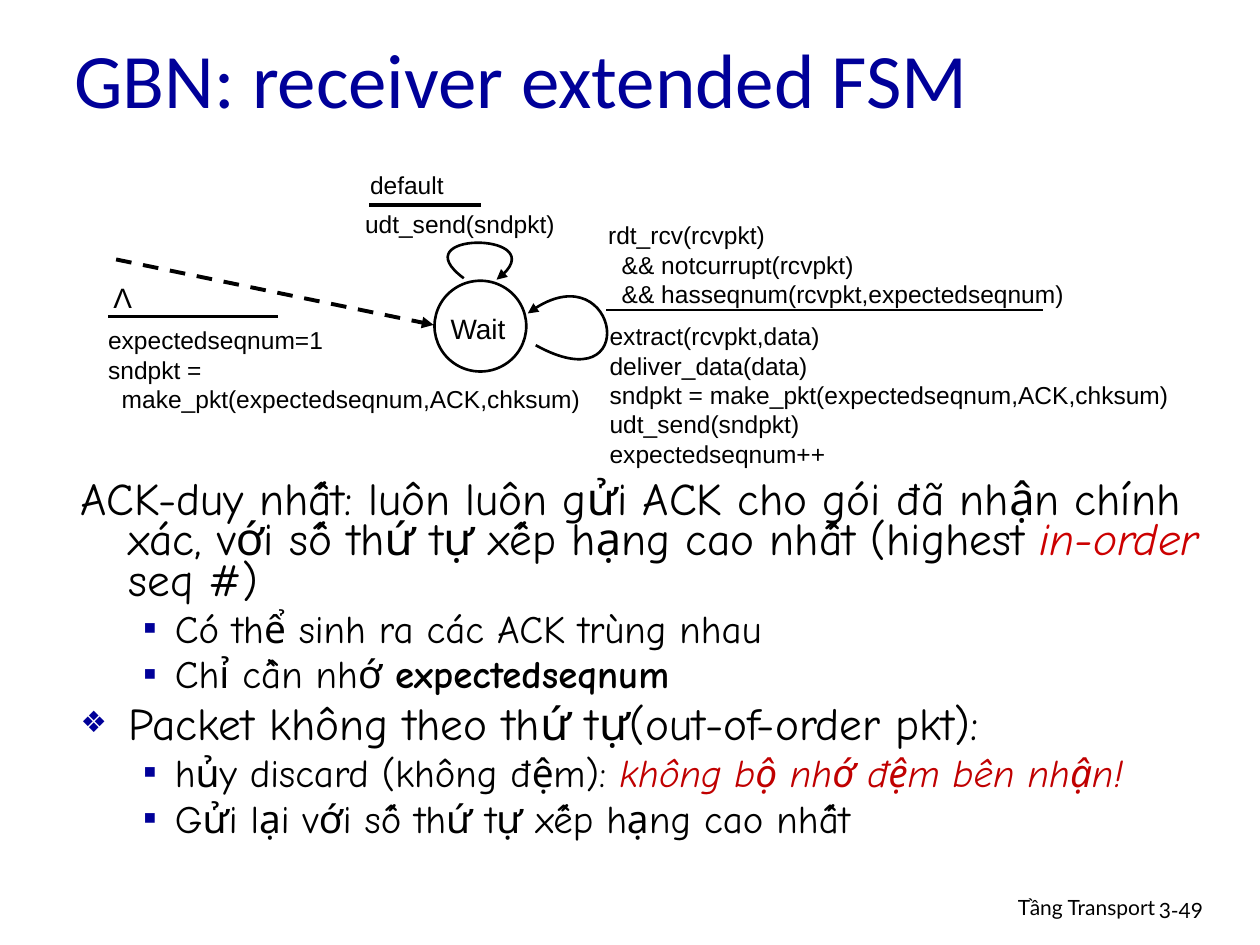
import pptx
import pptx.util
import pptx.dml.color
import pptx.enum.dml
import pptx.enum.shapes
import pptx.enum.text
import pptx.oxml
import pptx.oxml.ns
import lxml.etree
from dataclasses import dataclass

Cm = pptx.util.Cm
Pt = pptx.util.Pt
qn = pptx.oxml.ns.qn
Align = pptx.enum.text.PP_ALIGN


@dataclass(frozen=True)
class Theme:
    ink: str = "000000"
    navy: str = "000099"
    red: str = "CC0000"
    deep: str = "C00000"
    paper: str = "FFFFFF"
    head: str = "Calibri"
    hand: str = "Comic Neue"
    code: str = "Arial"
    foot: str = "Lato"
    title: float = 44
    main: float = 25.9
    sub: float = 22.2
    state: float = 16
    label: float = 14
    small: float = 12
    thick: float = 2.25
    thin: float = 1.5


T = Theme()

NOTES = [
    (0, None, [("ACK-duy nhất: luôn luôn gửi ACK cho gói đã nhận chính xác, "
                "với số thứ tự xếp hạng cao nhất (highest ", None),
               ("in-order", T.red), (" seq #)", None)]),
    (1, "▪", [("Có thể sinh ra các ACK trùng nhau", None)]),
    (1, "▪", [("Chỉ cần nhớ ", None), ("expectedseqnum", "bold")]),
    (0, "❖", [("Packet không theo thứ tự(out-of-order pkt):", None)]),
    (1, "▪", [("hủy discard (không đệm): ", None),
              ("không bộ nhớ đệm bên nhận!", T.deep)]),
    (1, "▪", [("Gửi lại với số thứ tự xếp hạng cao nhất", None)]),
]

LABELS = [
    ((7.11, 4.09, 4.5, 0.86), ["udt_send(sndpkt)"]),
    ((7.21, 3.3, 2.01, 0.69), ["default"]),
    ((12.01, 4.32, 9.91, 1.57), ["rdt_rcv(rcvpkt)", "  && notcurrupt(rcvpkt)",
                                 "  && hasseqnum(rcvpkt,expectedseqnum)"]),
    ((12.04, 6.35, 11.99, 2.39), ["extract(rcvpkt,data)", "deliver_data(data)",
                                  "sndpkt = make_pkt(expectedseqnum,ACK,chksum)",
                                  "udt_send(sndpkt)", "expectedseqnum++"]),
    ((1.93, 6.43, 10.11, 2.72), ["expectedseqnum=1", "sndpkt =",
                                 "  make_pkt(expectedseqnum,ACK,chksum)"]),
]

BARS = [(7.44, 4.14, 9.7, T.thick), (12.22, 6.25, 21.03, T.thin),
        (2.18, 6.38, 5.61, T.thick)]

LOOPS = [
    [(10.8, 6.96), (12.95, 8.15), (12.45, 4.95), (10.64, 6.32)],
    [(9.35, 5.61), (8.08, 4.67), (11.3, 4.67), (10.01, 5.64)],
]


def hue(code):
    return pptx.dml.color.RGBColor.from_string(code)


def style(font, name, size, color):
    font.name, font.size = name, Pt(size)
    font.color.rgb = hue(color)


def place(shape, box):
    shape.left, shape.top, shape.width, shape.height = map(Cm, box)


def stroke(shape, width, tip=False):
    shape.line.color.rgb = hue(T.ink)
    shape.line.width = Pt(width)
    if tip:
        lxml.etree.SubElement(shape.line._get_or_add_ln(), qn("a:tailEnd"),
                              type="triangle")


def label(slide, box, lines, name=T.code, size=T.label, align=Align.LEFT,
          wrap=True):
    frame = slide.shapes.add_textbox(*map(Cm, box)).text_frame
    frame.word_wrap = wrap
    frame.text = "\n".join(lines)
    for para in frame.paragraphs:
        para.alignment = align
        style(para.font, name, size, T.ink)


def link(slide, start, end, width, arrow=False):
    line = slide.shapes.add_connector(
        pptx.enum.shapes.MSO_CONNECTOR.STRAIGHT, *map(Cm, start + end))
    if arrow:
        line.line.dash_style = pptx.enum.dml.MSO_LINE.DASH
    stroke(line, width, arrow)
    lxml.etree.SubElement(line._element.spPr, qn("a:effectLst"))


def loop(slide, points):
    first, *rest = [(Cm(x), Cm(y)) for x, y in points]
    pen = slide.shapes.build_freeform(*first)
    pen.add_line_segments(rest, close=False)
    shape = pen.convert_to_shape()
    route = shape._element.find(".//" + qn("a:path"))
    curve = lxml.etree.SubElement(route, qn("a:cubicBezTo"))
    for step in route.findall(qn("a:lnTo")):
        curve.append(step[0])
        route.remove(step)
    shape.fill.background()
    shape.shadow.inherit = False
    stroke(shape, T.thin, True)


def state(slide, box):
    ring = slide.shapes.add_shape(pptx.enum.shapes.MSO_SHAPE.OVAL,
                                  *map(Cm, box))
    ring.fill.solid()
    ring.fill.fore_color.rgb = hue(T.paper)
    ring.shadow.inherit = False
    stroke(ring, T.thin)


def bullet(para, mark, level):
    props = para._p.get_or_add_pPr()
    left, hang = ((0.97, 0.97), (1.9, 0.64))[level]
    props.set("marL", str(Cm(left)))
    props.set("indent", str(-Cm(hang)))
    if mark is None:
        lxml.etree.SubElement(props, qn("a:buNone"))
        return
    tint = lxml.etree.SubElement(props, qn("a:buClr"))
    lxml.etree.SubElement(tint, qn("a:srgbClr"), val=T.navy)
    if level == 0:
        lxml.etree.SubElement(props, qn("a:buSzPct"), val="65000")
    lxml.etree.SubElement(props, qn("a:buChar"), char=mark)


def notes(slide):
    body = slide.placeholders[1]
    place(body, (1.37, 9.6, 23.5, 7.92))
    frame = body.text_frame
    frame.auto_size = pptx.enum.text.MSO_AUTO_SIZE.NONE
    for i, (level, mark, parts) in enumerate(NOTES):
        para = frame.add_paragraph() if i else frame.paragraphs[0]
        para.level = level
        bullet(para, mark, level)
        para.line_spacing = 0.75
        para.space_before = Pt((7, 6)[level] if i else 0)
        style(para.font, T.hand, (T.main, T.sub)[level], T.ink)
        for text, mode in parts:
            run = para.add_run()
            run.text = text
            if mode == "bold":
                run.font.bold = True
            elif mode:
                run.font.italic = True
                run.font.color.rgb = hue(mode)


def heading(slide):
    title = slide.shapes.title
    place(title, (1.24, 0.58, 21.59, 1.96))
    frame = title.text_frame
    frame.auto_size = pptx.enum.text.MSO_AUTO_SIZE.NONE
    frame.text = "GBN: receiver extended FSM"
    para = frame.paragraphs[0]
    para.alignment = Align.LEFT
    style(para.font, T.head, T.title, T.navy)


def main():
    deck = pptx.Presentation()
    deck.slide_width, deck.slide_height = Cm(25.4), Cm(19.05)
    slide = deck.slides.add_slide(deck.slide_layouts[1])
    heading(slide)
    notes(slide)
    state(slide, (8.76, 5.66, 1.85, 1.83))
    label(slide, (8.53, 6.15, 2.21, 0.66), ["Wait"], size=T.state,
          align=Align.CENTER)
    label(slide, (2.03, 5.54, 0.89, 0.94), ["Λ"], size=T.state,
          align=Align.CENTER, wrap=False)
    for box, lines in LABELS:
        label(slide, box, lines)
    for left, top, right, width in BARS:
        link(slide, (left, top), (right, top), width)
    link(slide, (2.34, 5.23), (8.74, 6.55), T.thick, True)
    for points in LOOPS:
        loop(slide, points)
    label(slide, (15.49, 17.91, 8.05, 0.79), ["Tầng Transport"], T.foot,
          T.small, Align.RIGHT)
    label(slide, (23.11, 17.96, 1.88, 0.76), ["3-49"], T.foot, T.small)
    deck.save("out.pptx")


if __name__ == "__main__":
    main()
